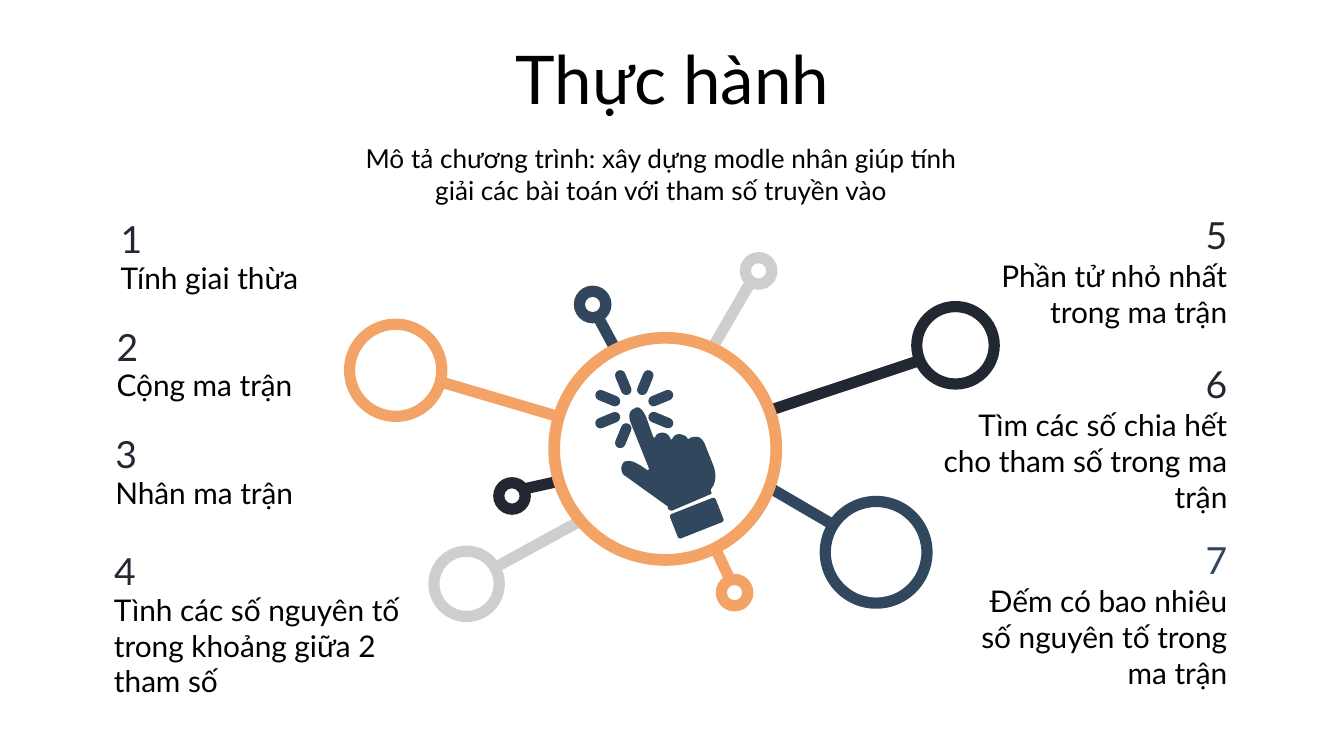
from math import cos, hypot, radians, sin

from lxml.etree import SubElement
from pptx import Presentation
from pptx.dml.color import RGBColor
from pptx.enum.shapes import MSO_CONNECTOR, MSO_SHAPE
from pptx.enum.text import MSO_ANCHOR, PP_ALIGN
from pptx.oxml.ns import qn
from pptx.util import Pt

NAVY, DARK, ORANGE, GRAY, BLACK = "30475E", "222831", "F2A365", "CECECE", "000000"


def color(hex_code):
    return RGBColor.from_string(hex_code)


def flatten(start, segments, steps=8):
    """Turn lines (2 numbers) and cubic curves (6 numbers) into points."""
    points = [start]
    for segment in segments:
        if len(segment) == 2:
            points.append(segment)
            continue
        x0, y0 = points[-1]
        x1, y1, x2, y2, x3, y3 = segment
        for step in range(1, steps + 1):
            t = step / steps
            a, b, c, d = (1 - t) ** 3, 3 * t * (1 - t) ** 2, 3 * t * t * (1 - t), t ** 3
            points.append((a * x0 + b * x1 + c * x2 + d * x3,
                           a * y0 + b * y1 + c * y2 + d * y3))
    return points


class SlideBuilder:
    font = "Lato"
    inset = Pt(7.2)
    band = 6

    def __init__(self, slide):
        self.shapes = slide.shapes

    def paint(self, shape, fill):
        shape.shadow.inherit = False
        shape.fill.solid()
        shape.fill.fore_color.rgb = color(fill)
        shape.line.fill.background()

    def ring(self, x, y, diameter, fill, band=band):
        ring = self.shapes.add_shape(
            MSO_SHAPE.DONUT, Pt(x - diameter / 2), Pt(y - diameter / 2),
            Pt(diameter), Pt(diameter))
        ring.adjustments[0] = band / diameter
        self.paint(ring, fill)

    def spoke(self, x1, y1, x2, y2, stroke):
        spoke = self.shapes.add_connector(
            MSO_CONNECTOR.STRAIGHT, Pt(x1), Pt(y1), Pt(x2), Pt(y2))
        spoke.line.color.rgb = color(stroke)
        spoke.line.width = Pt(self.band)
        SubElement(spoke._element.spPr, qn("a:effectLst"))

    def bar(self, x, y, width, height, angle, rounding, fill):
        bar = self.shapes.add_shape(
            MSO_SHAPE.ROUNDED_RECTANGLE, Pt(x - width / 2), Pt(y - height / 2),
            Pt(width), Pt(height))
        bar.adjustments[0] = rounding
        bar.rotation = angle
        self.paint(bar, fill)

    def outline(self, points, fill):
        start, *rest = [(Pt(x), Pt(y)) for x, y in points]
        builder = self.shapes.build_freeform(*start)
        builder.add_line_segments(rest, close=True)
        self.paint(builder.convert_to_shape(), fill)

    def text(self, words, left, top, width, height, size, ink=BLACK,
             align=PP_ALIGN.LEFT, anchor=MSO_ANCHOR.MIDDLE):
        frame = self.shapes.add_textbox(
            Pt(left), Pt(top), Pt(width), Pt(height)).text_frame
        frame.word_wrap = True
        frame.vertical_anchor = anchor
        frame.margin_left = frame.margin_right = self.inset
        frame.margin_top = frame.margin_bottom = self.inset
        paragraph = frame.paragraphs[0]
        paragraph.text = words
        paragraph.alignment = align
        paragraph.font.name = self.font
        paragraph.font.size = Pt(size)
        paragraph.font.color.rgb = color(ink)


# Satellites: ring centre, ring diameter, spoke ends, colour
SATELLITES = [
    (469.4, 295.9, 60.5, (411.8, 261, 446.4, 281.2), NAVY),
    (511.9, 185, 47.5, (411.1, 220.3, 491, 193.7), DARK),
    (212, 198.4, 55.4, (299.2, 223.2, 235.8, 204.5), ORANGE),
    (250, 312.8, 41, (311, 279, 265, 304.2), GRAY),
    (274.3, 265.7, 20.2, (299.5, 257.8, 280.1, 262.1), DARK),
    (393.5, 317.5, 20.2, (383, 293.4, 391, 310.3), ORANGE),
    (317.5, 163.1, 20.2, (329.4, 186.5, 320.4, 169.9), NAVY),
    (406.4, 145.1, 20.2, (382, 185.8, 402.1, 151.2), GRAY),
]

HAND_START = (341.3, 218.2)
HAND = [
    # Index finger, left side
    (341, 218.2, 340.5, 218.4, 339.8, 218.9),
    (335.5, 220.3, 337.7, 226.1, 337.7, 226.1),
    (347.8, 251.3), (347, 252), (342.7, 249.1),
    # Thumb
    (342, 249.1, 339.8, 247, 337, 247),
    (336.2, 247, 334.8, 247, 334.1, 247.7),
    (331.2, 251.3, 334.1, 254.9, 334.8, 254.9),
    # Wrist
    (357.8, 271.4), (357.8, 272.9),
    (358.6, 272.9, 358.6, 273.6, 360, 273.6),
    (380.2, 265),
    (380.9, 265, 381.6, 264.2, 380.9, 263.5),
    (380.9, 262.1),
    (385.2, 257, 382.3, 249.8, 382.3, 249.8),
    # Knuckles
    (378, 239),
    (378, 239, 376.6, 234, 373, 234),
    (370.8, 234, 369.4, 234.7, 368.6, 235.4),
    (367.9, 234, 367.2, 233.3, 364.3, 232.6),
    (361.4, 232.6, 360.7, 234, 360, 235.4),
    (359.3, 235.4),
    (358.6, 233.3, 357.1, 231.8, 355, 231.8),
    (352.1, 231.8, 351.4, 233.3, 350.6, 234.7),
    # Index finger, right side
    (349.9, 234), (346.3, 223.9),
    (346.3, 223.9, 344.2, 218.2, 341.3, 218.2),
]

# Exercises: number, colour, words, left, top, number width, label width and height
LEFT_EXERCISES = [
    ("1", DARK, "Tính giai thừa", 57.6, 115.9, 105, 116, 23),
    ("2", DARK, "Cộng ma trận", 55.4, 173.5, 76, 116, 27.4),
    ("3", DARK, "Nhân ma trận", 54.7, 231.1, 91, 122.4, 27.4),
    ("4", DARK, "Tình các số nguyên tố trong khoảng giữa 2 tham số",
     54, 293.8, 143.3, 172, 51.8),
]
# Exercises: number, colour, words, top, label width and height
RIGHT_EXERCISES = [
    ("5", DARK, "Phần tử nhỏ nhất trong ma trận", 113.8, 143.3, 41.8),
    ("6", DARK, "Tìm các số chia hết cho tham số trong ma trận", 193.7, 169.2, 41.8),
    ("7", NAVY, "Đếm có bao nhiêu số nguyên tố trong ma trận", 288, 157.7, 51.8),
]
RIGHT_EDGE, NUMBER_WIDTH, NUMBER_HEIGHT = 664.6, 143.3, 23.8


def main():
    deck = Presentation()
    deck.slide_width, deck.slide_height = Pt(720), Pt(405)
    page = SlideBuilder(deck.slides.add_slide(deck.slide_layouts[6]))

    # Satellites and hub
    for x, y, diameter, ends, tint in SATELLITES:
        page.spoke(*ends, tint)
        page.ring(x, y, diameter, tint)
    page.ring(356.4, 240.5, 125.3, ORANGE, band=6.3)

    # Clicking hand: hand, cuff and burst, with no ray where the finger is
    page.outline(flatten(HAND_START, HAND), NAVY)
    page.bar(373.3, 277.6, 26.3, 14, -21.5, 0.1, NAVY)
    burst_x, burst_y, radius = 339.8, 219.2, 15.4
    for step in (0, 2, 3, 4, 5, 6, 7):
        angle = 22.5 + 45 * step
        page.bar(burst_x + radius * cos(radians(angle)),
                 burst_y + radius * sin(radians(angle)), 14, 5.6, angle, 0.5, NAVY)

    # Title and description
    page.text("Thực hành", 260.6, 22.3, 199.4, 38.2, 36, align=PP_ALIGN.CENTER)
    page.text("Mô tả chương trình: xây dựng modle nhân giúp tính giải các bài toán "
              "với tham số truyền vào",
              180.7, 74.2, 347, 38.2, 14, align=PP_ALIGN.CENTER)

    # Exercises
    for number, ink, words, left, top, number_width, width, height in LEFT_EXERCISES:
        page.text(number, left, top, number_width, NUMBER_HEIGHT, 20, ink)
        page.text(words, left, top + 15.8, width, height, 16, anchor=MSO_ANCHOR.TOP)
    for number, ink, words, top, width, height in RIGHT_EXERCISES:
        page.text(number, RIGHT_EDGE - NUMBER_WIDTH, top, NUMBER_WIDTH, NUMBER_HEIGHT,
                  20, ink, PP_ALIGN.RIGHT)
        page.text(words, RIGHT_EDGE - width, top + 17, width, height, 16,
                  align=PP_ALIGN.RIGHT, anchor=MSO_ANCHOR.TOP)

    deck.save("out.pptx")


if __name__ == "__main__":
    main()
